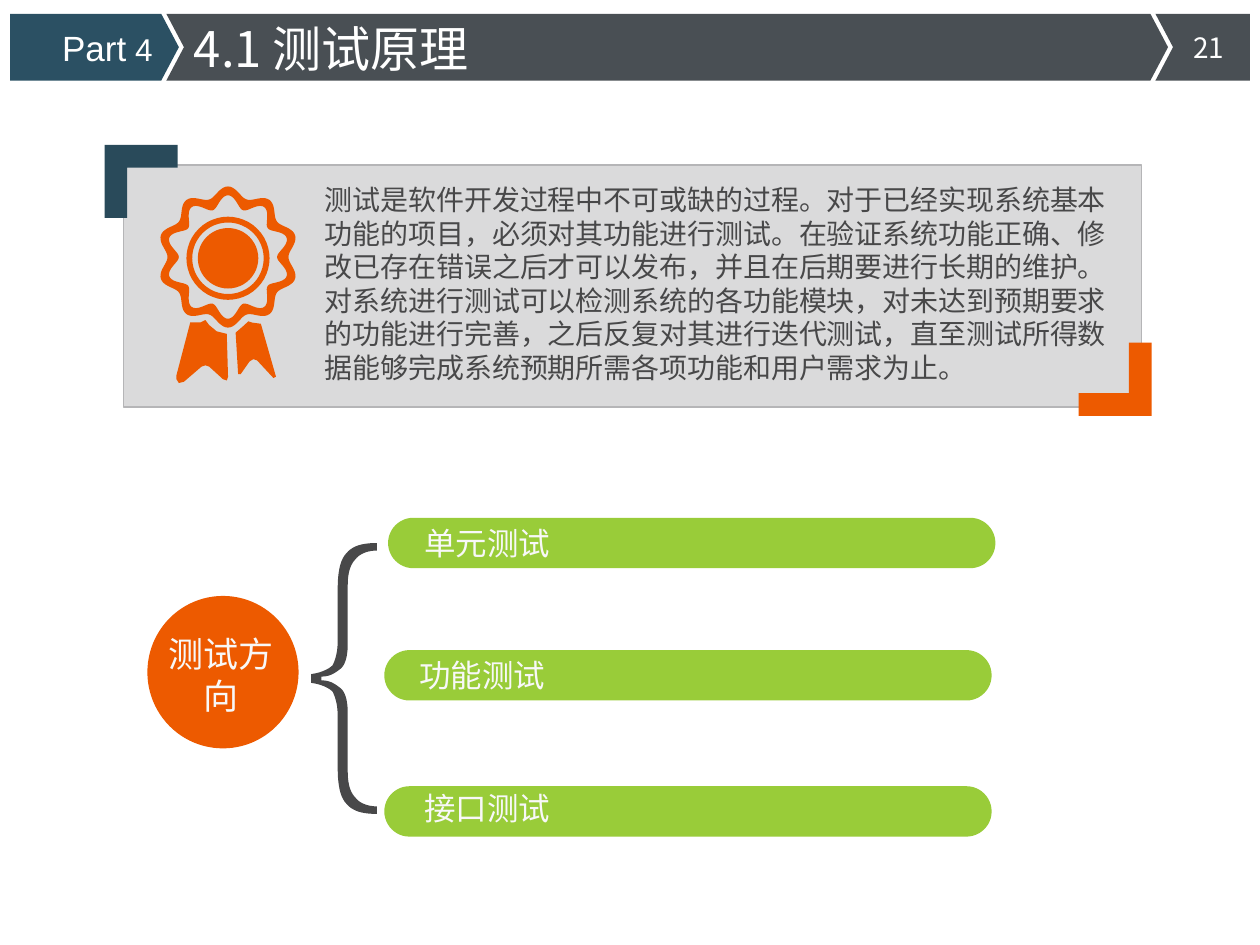
from math import cos, pi, sin

from lxml.etree import SubElement
from pptx import Presentation
from pptx.dml.color import RGBColor
from pptx.enum.shapes import MSO_SHAPE as Shape
from pptx.enum.text import PP_ALIGN as Align
from pptx.oxml.ns import qn
from pptx.util import Inches, Pt

COLORS = {"teal": "2B5063", "slate": "494F54", "corner": "294A5A", "orange": "ED5A00",
          "green": "99CC39", "panel": "DADADB", "edge": "B5B5B7", "ink": "484849",
          "white": "FFFFFF", "pale": "F8F8F8"}
SANS = "Noto Sans CJK SC"
BODY = ("测试是软件开发过程中不可或缺的过程。对于已经实现系统基本功能的项目，必须对其功能进行测试。"
        "在验证系统功能正确、修改已存在错误之后才可以发布，并且在后期要进行长期的维护。"
        "对系统进行测试可以检测系统的各功能模块，对未达到预期要求的功能进行完善，"
        "之后反复对其进行迭代测试，直至测试所得数据能够完成系统预期所需各项功能和用户需求为止。")


def color(name):
    """Return the named colour."""
    return RGBColor.from_string(COLORS[name])


def paint(shape, fill, line=None):
    """Give a shape a flat fill, an optional thin line and no shadow."""
    shape.shadow.inherit = False
    shape.fill.solid()
    shape.fill.fore_color.rgb = color(fill)
    if line:
        shape.line.color.rgb = color(line)
        shape.line.width = Pt(0.75)
    else:
        shape.line.fill.background()
    return shape


def add_preset(slide, kind, box, fill, line=None):
    """Add a painted preset shape."""
    return paint(slide.shapes.add_shape(kind, *map(Inches, box)), fill, line)


def add_outline(slide, origin, contours, fill):
    """Add a closed freeform whose contours are relative to the origin."""
    left, top = origin
    placed = [[(Inches(left + x), Inches(top + y)) for x, y in contour] for contour in contours]
    builder = slide.shapes.build_freeform(*placed[0][0], scale=1.0)
    for index, contour in enumerate(placed):
        if index:
            builder.move_to(*contour[0])
        builder.add_line_segments(contour[1:], close=True)
    return paint(builder.convert_to_shape(), fill)


def add_text(slide, box, runs, fill, align=Align.LEFT, wrap=True, font=SANS):
    """Add a text box of one paragraph made from (text, size) runs."""
    frame = slide.shapes.add_textbox(*map(Inches, box)).text_frame
    frame.word_wrap = wrap
    paragraph = frame.paragraphs[0]
    paragraph.alignment = align
    paragraph.line_spacing = Pt(1.2 * max(size for _, size in runs))
    for text, size in runs:
        run = paragraph.add_run()
        run.text = text
        run.font.color.rgb = color(fill)
        for key, value in {"size": Pt(size), "name": font}.items():
            setattr(run.font, key, value)
        SubElement(run.font._element, qn("a:ea"), typeface=font)


def curve(start, *segments, steps=10):
    """Sample a chain of cubic segments into points."""
    points = [start]
    for first, second, end in segments:
        corners = (points[-1], first, second, end)
        for step in range(1, steps + 1):
            t = step / steps
            weights = ((1 - t) ** 3, 3 * t * (1 - t) ** 2, 3 * t * t * (1 - t), t ** 3)
            points.append(tuple(sum(w * corner[axis] for w, corner in zip(weights, corners))
                                for axis in (0, 1)))
    return points


def draw_header(slide, box):
    """Draw the chevron bar with part, title and page number."""
    left, top, width, height = box
    notch, middle = 0.14, height / 2
    for start, end, fill, notched, pointed in ((0, 1.34, "teal", False, True),
                                               (1.24, 9.19, "slate", True, True),
                                               (9.09, width, "slate", True, False)):
        shoulder = end - notch if pointed else end
        points = [(start, 0), (shoulder, 0)]
        points += [(end, middle)] if pointed else []
        points += [(shoulder, height), (start, height)]
        points += [(start + notch, middle)] if notched else []
        add_outline(slide, (left, top), [points], fill)
    add_text(slide, (left + 9.25, top + 0.08, 0.53, 0.42), [("21", 16)], "white", Align.CENTER)
    add_text(slide, (left + 1.36, top - 0.01, 2.48, 0.57), [("4.1 测试原理", 28)], "white", wrap=False)
    add_text(slide, (left + 0.07, top + 0.05, 1.16, 0.44), [("Part", 20), (" 4", 18)],
             "white", Align.RIGHT, font="Arial")


def draw_rosette(slide, box):
    """Draw the award rosette with its two ribbon tails."""
    left, top, width, _ = box
    center = width / 2

    def scallop(radius, depth):
        """Return a ten-lobed ring around the rosette centre."""
        angles = [2 * pi * step / 200 for step in range(200)]
        return [(center + (radius + depth * cos(10 * angle)) * sin(angle),
                 center + 0.02 - (radius + depth * cos(10 * angle)) * cos(angle))
                for angle in angles]

    add_outline(slide, (left, top), [scallop(0.52, 0.04), scallop(0.44, 0.05)[::-1]], "orange")
    for kind, radius in ((Shape.DONUT, 0.33), (Shape.OVAL, 0.24)):
        disc = add_preset(slide, kind, (left + center - radius, top + center + 0.03 - radius,
                                        2 * radius, 2 * radius), "orange")
        if kind == Shape.DONUT:
            disc.adjustments[0] = 0.07
    tails = ([(0.24, 1.08), (0.32, 1.08), (0.36, 1.06), (0.39, 1.1), (0.45, 1.15), (0.53, 1.17),
              (0.54, 1.51), (0.53, 1.54), (0.5, 1.53), (0.39, 1.43), (0.36, 1.42), (0.33, 1.43),
              (0.19, 1.55), (0.15, 1.56), (0.13, 1.53), (0.13, 1.5)],
             [(0.8, 1.09), (0.73, 1.08), (0.7, 1.07), (0.67, 1.1), (0.6, 1.16), (0.62, 1.49),
              (0.64, 1.49), (0.71, 1.39), (0.74, 1.37), (0.77, 1.38), (0.9, 1.52), (0.92, 1.51)])
    for tail in tails:
        add_outline(slide, (left, top), [tail], "orange")


def draw_panel(slide, box):
    """Draw the grey text panel with its corner marks and rosette."""
    left, top, width, height = box
    add_preset(slide, Shape.RECTANGLE, box, "panel", "edge")
    add_text(slide, (left + 1.5, top + 0.09, 6.57, 1.7), [(BODY, 16)], "ink")
    size, bar = 0.58, 0.18
    upper = [(0, 0), (size, 0), (size, bar), (bar, bar), (bar, size), (0, size)]
    lower = [(size - x, size - y) for x, y in upper]
    add_outline(slide, (left - 0.15, top - 0.16), [upper], "corner")
    add_outline(slide, (left + width - 0.5, top + height - 0.51), [lower], "orange")
    draw_rosette(slide, (left + 0.29, top + 0.17, 1.08, 1.57))


def draw_brace(slide, box):
    """Draw a tapered left brace, mirrored about its middle."""
    left, top, _, height = box
    outer = curve((0.52, 0), ((0.41, 0), (0.33, 0.02), (0.28, 0.08)),
                  ((0.23, 0.13), (0.21, 0.23), (0.21, 0.37)),
                  ((0.21, 0.5), (0.21, 0.64), (0.21, 0.78)),
                  ((0.21, 0.87), (0.19, 0.93), (0.17, 0.97)),
                  ((0.14, 1), (0.08, 1.03), (0, 1.04)))
    inner = curve((0.52, 0.06), ((0.44, 0.06), (0.38, 0.09), (0.35, 0.13)),
                  ((0.31, 0.17), (0.29, 0.24), (0.29, 0.33)),
                  ((0.29, 0.5), (0.29, 0.64), (0.29, 0.8)),
                  ((0.29, 0.9), (0.27, 0.97), (0.23, 1)),
                  ((0.18, 1.04), (0.14, 1.06), (0.08, 1.06)))
    half = inner[::-1], outer
    lower_inner, lower_outer = ([(x, height - y) for x, y in side] for side in half)
    add_outline(slide, (left, top), [outer + lower_outer[::-1] + lower_inner[::-1] + inner[::-1]], "ink")


def draw_directions(slide, box):
    """Draw the topic circle, the brace and the three test pills."""
    left, top, _, _ = box
    draw_brace(slide, (left + 1.34, top + 0.2, 0.52, 2.15))
    add_preset(slide, Shape.OVAL, (left + 0.04, top + 0.62, 1.2, 1.21), "orange")
    add_text(slide, (left, top + 0.86, 1.25, 0.77), [("测试方向", 20)], "pale", Align.CENTER)
    for label, x, y, text_x, text_y in (("单元测试", 1.95, 0, 2.14, 0),
                                        ("功能测试", 1.92, 1.05, 2.1, 1.05),
                                        ("接口测试", 1.92, 2.13, 2.14, 2.1)):
        pill = add_preset(slide, Shape.ROUNDED_RECTANGLE, (left + x, top + y, 4.82, 0.4), "green")
        pill.adjustments[0] = 0.5
        add_text(slide, (left + text_x, top + text_y, 1.2, 0.4), [(label, 18)], "pale", wrap=False)


def main():
    """Build and save the slide."""
    presentation = Presentation()
    presentation.slide_width, presentation.slide_height = Inches(10), Inches(7.5)
    slide = presentation.slides.add_slide(presentation.slide_layouts[6])
    draw_header(slide, (0.08, 0.11, 9.84, 0.53))
    draw_directions(slide, (1.13, 4.11, 6.77, 2.53))
    draw_panel(slide, (0.98, 1.31, 8.08, 1.92))
    presentation.save("out.pptx")


if __name__ == "__main__":
    main()
